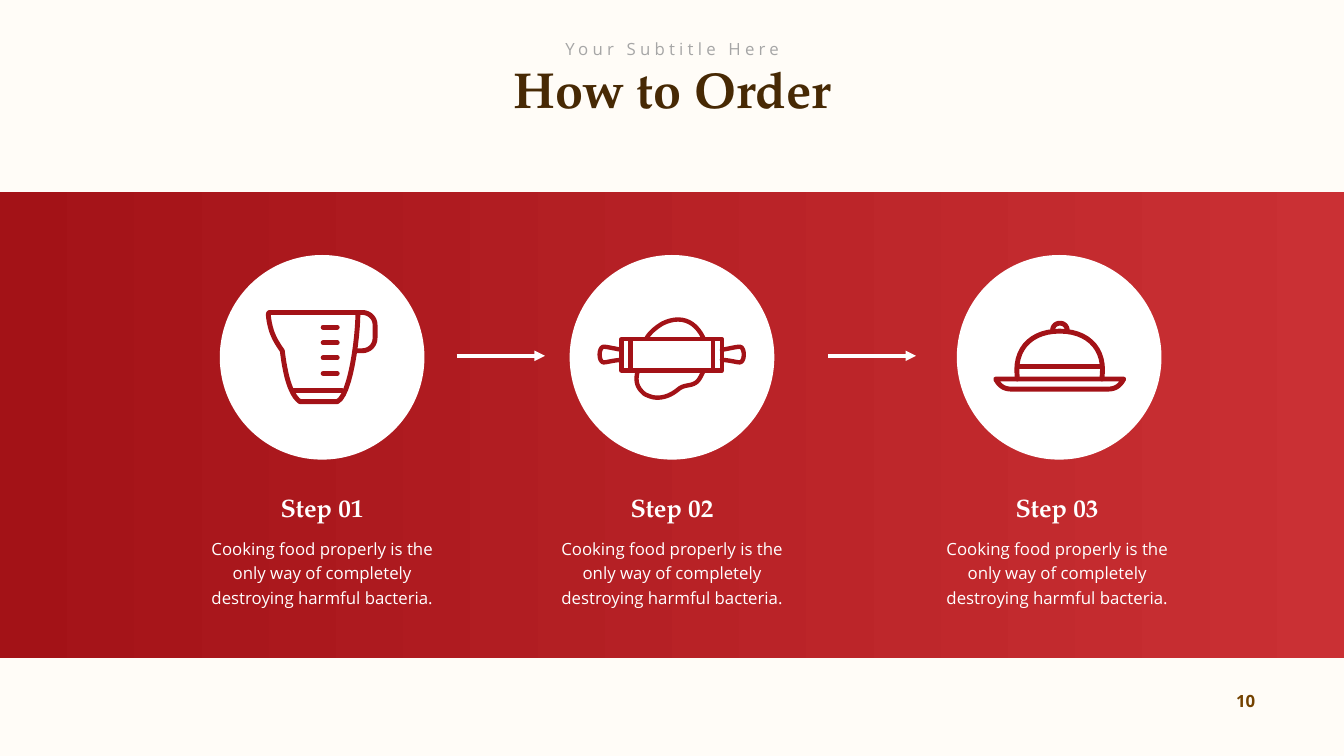
import pptx
import pptx.dml.color
import pptx.enum.shapes
import pptx.enum.text
import pptx.oxml
import pptx.oxml.ns
import pptx.util
from lxml import etree

Inches = pptx.util.Inches
Pt = pptx.util.Pt
Align = pptx.enum.text.PP_ALIGN
Anchor = pptx.enum.text.MSO_ANCHOR
Shape = pptx.enum.shapes.MSO_SHAPE
qn = pptx.oxml.ns.qn

THEME = {
    "paper": "FFFCF7", "dark_red": "A31217", "light_red": "CA3034", "white": "FFFFFF",
    "brown": "472904", "number": "744200", "grey": "A6A6A6",
    "serif": "TeX Gyre Pagella", "sans": "Open Sans",
    "title": 72, "step": 36, "body": 24, "leading": 35, "arrow": 5,
}

SLIDE_WIDTH, SLIDE_HEIGHT = 26.66, 15
TITLE = "How to Order"
SUBTITLE = "Your Subtitle Here"
PAGE_NUMBER = "10"
ADVICE = "Cooking food properly is the only way of completely destroying harmful bacteria."

MEASURING_CUP = [
    [(5.36, 6.2), (7.1, 6.2), (7.1, 6.7, 6.95, 7.85, 6.69, 7.97), (5.95, 7.97),
     (5.74, 7.82, 5.65, 7.37, 5.6, 6.96), (5.45, 6.75, 5.38, 6.6, 5.34, 6.38),
     (5.32, 6.25, 5.31, 6.2, 5.36, 6.2)],
    [(5.83, 7.74), (6.78, 7.74)],
    [(7.1, 6.2), (7.18, 6.2), (7.33, 6.2, 7.44, 6.31, 7.44, 6.45), (7.44, 6.7),
     (7.44, 6.85, 7.33, 6.96, 7.18, 6.96), (7.08, 6.96)],
] + [[(6.41, mark), (6.69, mark)] for mark in (6.49, 6.8, 7.1, 7.41)]

PIN_HANDLE = [
    (12.33, 6.94), (12.15, 6.91, 12.05, 6.88, 11.97, 6.88),
    (11.87, 6.9, 11.87, 7.17, 11.97, 7.19), (12.05, 7.19, 12.15, 7.15, 12.33, 7.14),
]
PIN_SPAN = 26.65
ROLLING_PIN = [
    [(12.33, 6.73), (14.32, 6.73), (14.32, 7.35), (12.33, 7.35), (12.33, 6.73)],
    [(12.51, 6.73), (12.51, 7.35)],
    [(14.15, 6.73), (14.15, 7.35)],
    PIN_HANDLE,
    [tuple(PIN_SPAN - value if place % 2 == 0 else value
           for place, value in enumerate(step)) for step in PIN_HANDLE],
    [(12.83, 6.7), (12.9, 6.59, 13.02, 6.49, 13.14, 6.42),
     (13.46, 6.26, 13.77, 6.33, 13.95, 6.7)],
    [(12.65, 7.37), (12.59, 7.57, 12.65, 7.71, 12.79, 7.82),
     (12.87, 7.86, 12.95, 7.89, 13.04, 7.89), (13.19, 7.89, 13.33, 7.83, 13.46, 7.72),
     (13.6, 7.6, 13.78, 7.7, 13.89, 7.49), (13.95, 7.37)],
]

CLOCHE = [
    [(19.75, 7.52), (22.29, 7.52), (22.22, 7.65, 22.13, 7.72, 21.98, 7.72), (20.06, 7.72),
     (19.91, 7.72, 19.82, 7.65, 19.75, 7.52)],
    [(20.18, 7.52), (20.17, 7.34), (20.17, 6.87, 20.5, 6.57, 21.02, 6.57),
     (21.54, 6.57, 21.87, 6.87, 21.87, 7.34), (21.86, 7.52)],
    [(20.18, 7.27), (21.86, 7.27)],
    [(20.88, 6.54), (20.9, 6.37, 21.15, 6.37, 21.17, 6.54)],
]

STEPS = [
    {"name": "Step 01", "circle": 6.39, "text": 6.39, "icon": MEASURING_CUP, "stroke": 7},
    {"name": "Step 02", "circle": 13.33, "text": 13.33, "icon": ROLLING_PIN, "stroke": 6.25},
    {"name": "Step 03", "circle": 21.01, "text": 20.97, "icon": CLOCHE, "stroke": 7},
]
CIRCLE_TOP, CIRCLE_SIZE = 5.06, 4.06
ARROW_STARTS, ARROW_LENGTH, ARROW_Y = (9.06, 16.42), 1.75, 7.06
CURVE_PARTS = 12


def color(name):
    return pptx.dml.color.RGBColor.from_string(THEME[name])


def add_text(page, area, text, font, size, ink, bold=False, align=Align.CENTER,
             anchor=Anchor.TOP, wrap=False):
    box = page.shapes.add_textbox(*map(Inches, area))
    frame = box.text_frame
    frame.word_wrap = wrap
    frame.auto_size = pptx.enum.text.MSO_AUTO_SIZE.SHAPE_TO_FIT_TEXT
    frame.vertical_anchor = anchor
    para = frame.paragraphs[0]
    para.alignment = align
    span = para.add_run()
    span.text = text
    span.font.name = THEME[font]
    span.font.size = Pt(THEME[size])
    span.font.bold = bold
    span.font.color.rgb = color(ink)
    return frame, para, span


def add_plain_shape(page, kind, area):
    shape = page.shapes.add_shape(kind, *map(Inches, area))
    shape.shadow.inherit = False
    shape.line.fill.background()
    return shape


def trace(steps):
    points = [steps[0]]
    for step in steps[1:]:
        if len(step) == 2:
            points.append(step)
            continue
        start, first, second, end = points[-1], step[:2], step[2:4], step[4:]
        for part in range(1, CURVE_PARTS + 1):
            t = part / CURVE_PARTS
            u = 1 - t
            points.append(tuple(
                u**3 * a + 3 * u * u * t * b + 3 * u * t * t * c + t**3 * d
                for a, b, c, d in zip(start, first, second, end)))
    return [(Inches(x), Inches(y)) for x, y in points]


def add_icon(page, contours, stroke):
    traced = [trace(contour) for contour in contours]
    builder = page.shapes.build_freeform(*traced[0][0])
    for points in traced:
        builder.move_to(*points[0])
        builder.add_line_segments(points[1:], close=False)
    icon = builder.convert_to_shape()
    icon.shadow.inherit = False
    icon.fill.background()
    icon.line.color.rgb = color("dark_red")
    icon.line.width = Pt(stroke)
    outline = icon.line._get_or_add_ln()
    outline.set("cap", "rnd")
    etree.SubElement(outline, qn("a:round"))


def add_arrow(page, left):
    arrow = page.shapes.add_connector(
        pptx.enum.shapes.MSO_CONNECTOR.STRAIGHT, Inches(left), Inches(ARROW_Y),
        Inches(left + ARROW_LENGTH), Inches(ARROW_Y))
    arrow.line.color.rgb = color("white")
    arrow.line.width = Pt(THEME["arrow"])
    etree.SubElement(arrow.line._get_or_add_ln(), qn("a:tailEnd"), type="triangle")
    etree.SubElement(arrow._element.spPr, qn("a:effectLst"))


def add_step(page, step):
    left = step["circle"] - CIRCLE_SIZE / 2
    circle = add_plain_shape(page, Shape.OVAL, (left, CIRCLE_TOP, CIRCLE_SIZE, CIRCLE_SIZE))
    circle.fill.solid()
    circle.fill.fore_color.rgb = color("white")
    add_icon(page, step["icon"], step["stroke"])

    center = step["text"]
    add_text(page, (center - 0.95, 9.71, 1.9, 0.71), step["name"], "serif", "step", "white",
             bold=True, anchor=Anchor.MIDDLE)
    frame, para, span = add_text(page, (center - 2.67, 10.48, 5.34, 1.68), ADVICE,
                                 "sans", "body", "white", wrap=True)
    frame.margin_left = frame.margin_right = Inches(0.24)
    frame.margin_top = frame.margin_bottom = Inches(0.12)
    para.line_spacing = Pt(THEME["leading"])


def main():
    deck = pptx.Presentation()
    deck.slide_width, deck.slide_height = Inches(SLIDE_WIDTH), Inches(SLIDE_HEIGHT)
    page = deck.slides.add_slide(deck.slide_layouts[6])
    page.background.fill.solid()
    page.background.fill.fore_color.rgb = color("paper")

    add_text(page, (24.35, 13.66, 0.65, 0.5), PAGE_NUMBER, "sans", "body", "number",
             bold=True, align=Align.RIGHT, anchor=Anchor.BOTTOM)
    band = add_plain_shape(page, Shape.RECTANGLE, (0, 3.81, SLIDE_WIDTH, 9.25))
    band.fill.gradient()
    band.fill.gradient_angle = 0
    for stop, name in zip(band.fill.gradient_stops, ("dark_red", "light_red")):
        stop.color.rgb = color(name)

    add_text(page, (10.02, 1.11, 6.63, 1.31), TITLE, "serif", "title", "brown", bold=True)
    frame, para, span = add_text(page, (11.05, 0.71, 4.57, 0.5), SUBTITLE,
                                 "sans", "body", "grey")
    span.font._element.set("spc", "600")

    for step in STEPS:
        add_step(page, step)
    for left in ARROW_STARTS:
        add_arrow(page, left)
    deck.save("out.pptx")


if __name__ == "__main__":
    main()
